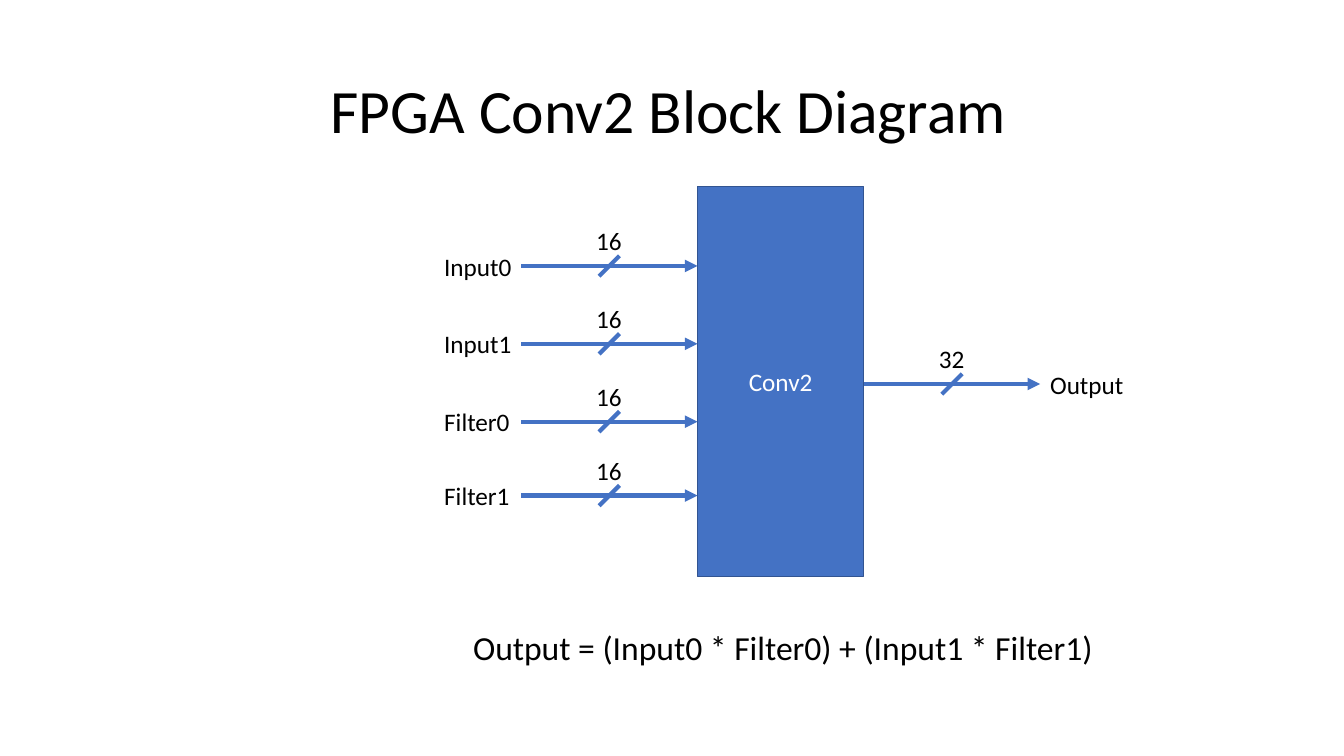
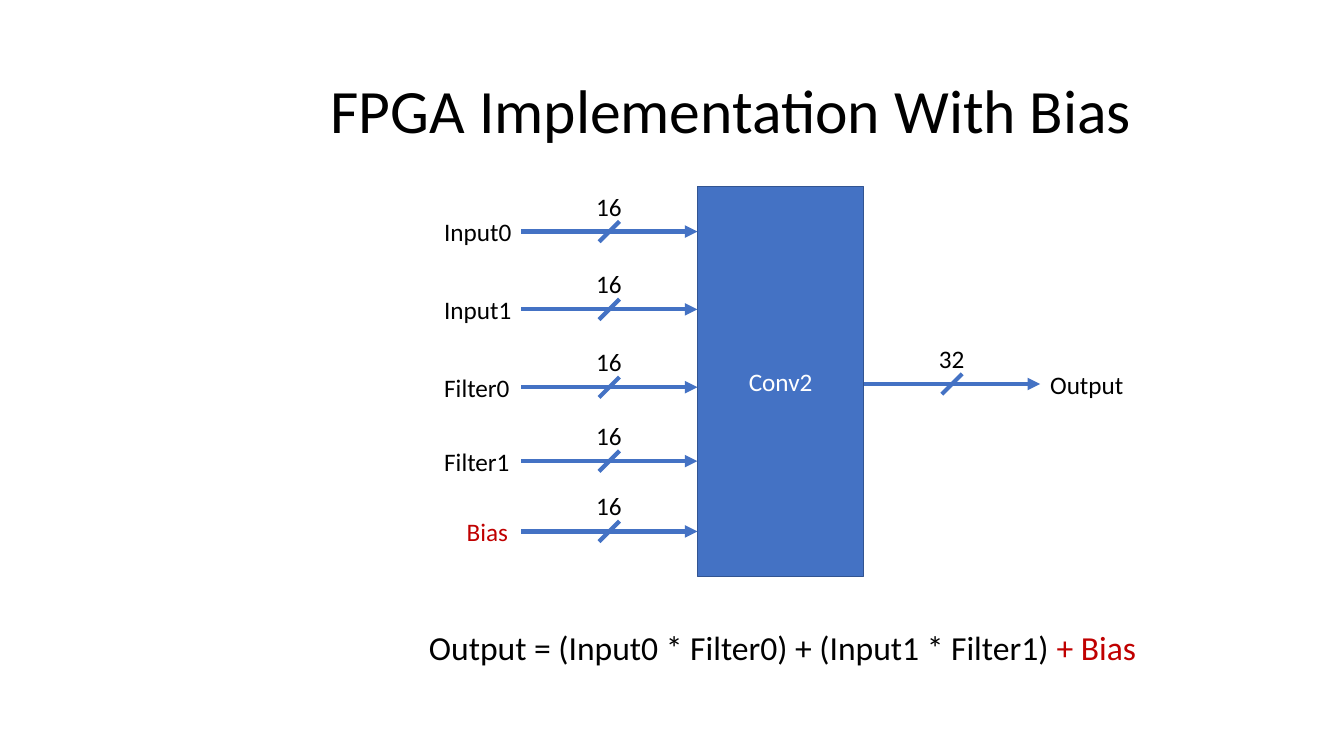
import lxml.etree
import pptx
import pptx.dml.color
import pptx.enum.shapes
import pptx.enum.text
import pptx.oxml.ns
import pptx.util

Pt = pptx.util.Pt
qn = pptx.oxml.ns.qn
PP_ALIGN = pptx.enum.text.PP_ALIGN
MSO_ANCHOR = pptx.enum.text.MSO_ANCHOR

COLORS = {
    "text": "000000",
    "accent": "4472C4",
    "outline": "325491",
    "highlight": "C00000",
    "inverse": "FFFFFF",
}
FONT = "Calibri"

# Diagram geometry, in points
BLOCK_LEFT, BLOCK_TOP, BLOCK_WIDTH, BLOCK_HEIGHT = 498.2, 133.2, 118.8, 278.6
BUS_LENGTH = 126
OUTPUT_Y = 274.3
LABEL_HEIGHT = 29
EQUATION_CENTER = 561.3


def rgb(name):
    return pptx.dml.color.RGBColor.from_string(COLORS[name])


class Deck:
    """Holds the shared style and the slide being drawn."""

    def __init__(self):
        self.presentation = pptx.Presentation()
        self.presentation.slide_width = Pt(960)
        self.presentation.slide_height = Pt(540)
        self.slide = None
        self.shapes = None

    def add_slide(self, title):
        layout = self.presentation.slide_layouts.get_by_name("Title Only")
        self.slide = self.presentation.slides.add_slide(layout)
        self.shapes = self.slide.shapes
        shape = self.shapes.title
        shape.left, shape.top = Pt(229), Pt(28.8)
        shape.width, shape.height = Pt(665), Pt(104.4)
        shape.text_frame.vertical_anchor = MSO_ANCHOR.MIDDLE
        shape.text_frame.text = title
        paragraph = shape.text_frame.paragraphs[0]
        paragraph.alignment = PP_ALIGN.LEFT
        paragraph.line_spacing = 0.9
        self.format_run(paragraph.runs[0], 44)

    def start_group(self):
        self.shapes = self.slide.shapes.add_group_shape().shapes

    def end_group(self):
        self.shapes = self.slide.shapes

    def format_run(self, run, size=18, color="text"):
        run.font.name = FONT
        run.font.size = Pt(size)
        run.font.color.rgb = rgb(color)

    def text(self, left, top, width, parts, size=18, height=LABEL_HEIGHT, wrap=True):
        """Add a text box; parts is a list of (text, color) runs."""
        box = self.shapes.add_textbox(Pt(left), Pt(top), Pt(width), Pt(height))
        box.text_frame.word_wrap = wrap
        for content, color in parts:
            run = box.text_frame.paragraphs[0].add_run()
            run.text = content
            self.format_run(run, size, color)

    def block(self, name):
        shape = self.shapes.add_shape(
            pptx.enum.shapes.MSO_SHAPE.RECTANGLE,
            Pt(BLOCK_LEFT), Pt(BLOCK_TOP), Pt(BLOCK_WIDTH), Pt(BLOCK_HEIGHT))
        shape.shadow.inherit = False
        shape.fill.solid()
        shape.fill.fore_color.rgb = rgb("accent")
        shape.line.color.rgb = rgb("outline")
        shape.line.width = Pt(1)
        shape.text_frame.vertical_anchor = MSO_ANCHOR.MIDDLE
        shape.text_frame.text = name
        paragraph = shape.text_frame.paragraphs[0]
        paragraph.alignment = PP_ALIGN.CENTER
        self.format_run(paragraph.runs[0], color="inverse")

    def line(self, x1, y1, x2, y2, arrow=False):
        connector = self.shapes.add_connector(
            pptx.enum.shapes.MSO_CONNECTOR.STRAIGHT, Pt(x1), Pt(y1), Pt(x2), Pt(y2))
        connector.line.color.rgb = rgb("accent")
        connector.line.width = Pt(3)
        properties = connector._element.spPr
        if arrow:
            outline = properties.find(qn("a:ln"))
            lxml.etree.SubElement(outline, qn("a:tailEnd"), type="triangle")
        lxml.etree.SubElement(properties, qn("a:effectLst"))

    def bus(self, left, y, bits):
        """Add an arrow with a slash and its bit width at the middle."""
        middle, slash = left + BUS_LENGTH / 2, 7.3
        self.line(left, y, left + BUS_LENGTH, y, arrow=True)
        self.line(middle - slash, y + slash, middle + slash, y - slash)
        self.text(middle - 16.5, y - 32.6, 33, [(bits, "text")], wrap=False)

    def signal(self, name, left, y, width, color="text"):
        self.text(left, y - 14.4, width, [(name, color)])

    def diagram(self, inputs, first_y):
        """Add the block with its inputs, given as (name, offset, width, color)."""
        self.start_group()
        self.block("Conv2")
        bus_left = BLOCK_LEFT - BUS_LENGTH
        for name, offset, width, color in inputs:
            y = first_y + offset
            self.bus(bus_left, y, "16")
            self.signal(name, bus_left + 0.5 - width, y, width, color)
        block_right = BLOCK_LEFT + BLOCK_WIDTH
        self.bus(block_right, OUTPUT_Y, "32")
        self.signal("Output", block_right + BUS_LENGTH, OUTPUT_Y, 70)
        self.end_group()

    def equation(self, width, parts):
        self.text(EQUATION_CENTER - width / 2, 444.2, width, parts,
                  size=24, height=36, wrap=False)


def main():
    deck = Deck()
    inputs = [
        ("Input0", 0, 62.5, "text"),
        ("Input1", 55.6, 62.5, "text"),
        ("Filter0", 111.2, 62.5, "text"),
        ("Filter1", 164, 62.5, "text"),
    ]
    bias = ("Bias", 214.2, 46.5, "highlight")
    formula = "Output = (Input0 * Filter0) + (Input1 * Filter1)"

    # Block diagram
    deck.add_slide("FPGA Conv2 Block Diagram")
    deck.diagram(inputs, first_y=190)
    deck.equation(461, [(formula, "text")])

    # Block diagram with the bias input
    deck.add_slide("FPGA Implementation With Bias")
    deck.diagram(inputs + [bias], first_y=165.4)
    deck.equation(524, [(formula + " ", "text"), ("+ Bias", "highlight")])

    deck.presentation.save("out.pptx")


if __name__ == "__main__":
    main()
